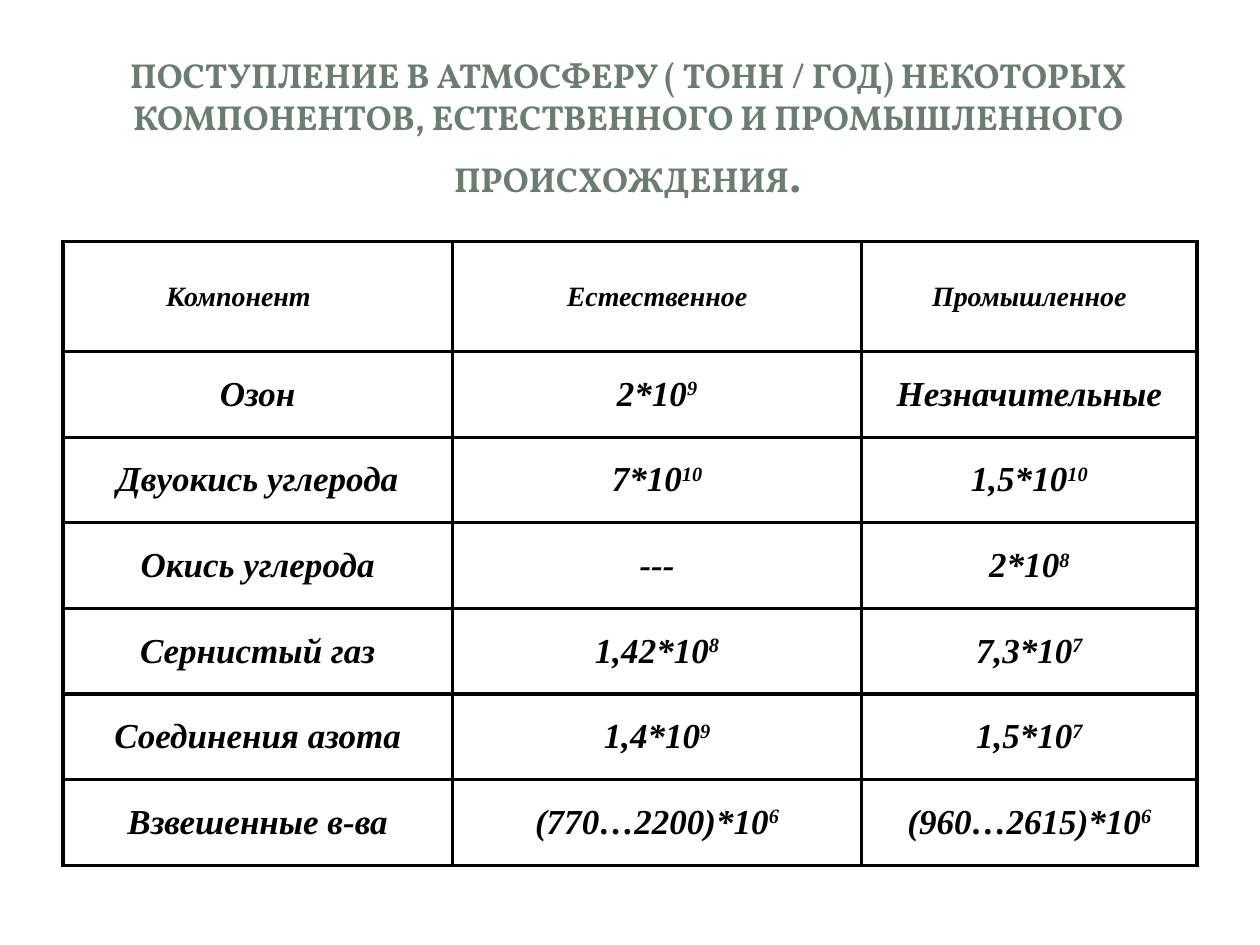
import lxml.etree
import pptx
import pptx.dml.color
import pptx.enum.shapes
import pptx.enum.text
import pptx.oxml.ns
import pptx.util

Cm, Pt = pptx.util.Cm, pptx.util.Pt
qn = pptx.oxml.ns.qn
MIDDLE = pptx.enum.text.MSO_ANCHOR.MIDDLE
ALIGN = pptx.enum.text.PP_ALIGN
SHAPE = pptx.enum.shapes.MSO_SHAPE

INK, SAGE, WHITE = "000000", "6B7D72", "FFFFFF"
TITLE = {"name": "Vollkorn", "size": Pt(19.8), "bold": True}
TITLE_DOT = {**TITLE, "size": Pt(31.5), "bold": False}
BODY = {"name": "Times New Roman", "size": Pt(20), "bold": True, "italic": True}
HEADER = {**BODY, "size": Pt(16)}

COLUMN_WIDTHS = [7.85, 8.25, 6.76]
TABLE_HEIGHT, HEADER_HEIGHT = 12.57, 2.22
# A caret separates a number from its exponent
ROWS = [
    ["Компонент", "Естественное", "Промышленное"],
    ["Озон", "2*10^9", "Незначительные"],
    ["Двуокись углерода", "7*10^10", "1,5*10^10"],
    ["Окись углерода", "---", "2*10^8"],
    ["Сернистый газ", "1,42*10^8", "7,3*10^7"],
    ["Соединения азота", "1,4*10^9", "1,5*10^7"],
    ["Взвешенные в-ва", "(770…2200)*10^6", "(960…2615)*10^6"],
]


def color(value):
    return pptx.dml.color.RGBColor.from_string(value)


def set_format(target, values):
    for name, value in values.items():
        setattr(target, name, value)


def add_panel(page, kind, left, top, width, height):
    panel = page.shapes.add_shape(kind, Cm(left), Cm(top), Cm(width), Cm(height))
    panel.shadow.inherit = False
    panel.fill.solid()
    panel.fill.fore_color.rgb = color(WHITE)
    panel.line.fill.background()
    return panel


def add_panels(page):
    sheet = add_panel(page, SHAPE.ROUNDED_RECTANGLE, 0.25, 0.28, 24.9, 18.52)
    sheet.adjustments[0] = 0.017
    band = add_panel(page, SHAPE.RECTANGLE, 0.76, 0.76, 23.88, 3.68)
    tint = band.fill._xPr.find(qn("a:solidFill"))[0]
    lxml.etree.SubElement(tint, qn("a:alpha"), val="83000")
    add_panel(page, SHAPE.RECTANGLE, 1.04, 1.04, 23.29, 3.1)


def add_span(para, text, style, ink):
    span = para.add_run()
    span.text = text
    set_format(span.font, style)
    span.font.color.rgb = color(ink)
    return span


def add_title(page):
    box = page.shapes.add_textbox(Cm(1.19), Cm(1.14), Cm(22.94), Cm(2.9))
    set_format(box.text_frame, {"word_wrap": True, "vertical_anchor": MIDDLE})
    para = box.text_frame.paragraphs[0]
    para.alignment = ALIGN.CENTER
    add_span(para, "ПОСТУПЛЕНИЕ В АТМОСФЕРУ ( ТОНН / ГОД) НЕКОТОРЫХ "
                   "КОМПОНЕНТОВ, ЕСТЕСТВЕННОГО И ПРОМЫШЛЕННОГО", TITLE, SAGE)
    para.add_line_break()
    add_span(para, "ПРОИСХОЖДЕНИЯ", TITLE, SAGE)
    add_span(para, ".", TITLE_DOT, SAGE)


def add_borders(cell):
    properties = cell._tc.get_or_add_tcPr()
    for side in ("a:lnL", "a:lnR", "a:lnT", "a:lnB"):
        line = lxml.etree.SubElement(properties, qn(side), w=str(Pt(2)))
        fill = lxml.etree.SubElement(line, qn("a:solidFill"))
        lxml.etree.SubElement(fill, qn("a:srgbClr"), val=INK)


def fill_cell(cell, text, style):
    add_borders(cell)
    cell.fill.background()
    cell.vertical_anchor = MIDDLE
    para = cell.text_frame.paragraphs[0]
    para.alignment = ALIGN.CENTER
    base, _, exponent = text.partition("^")
    add_span(para, base, style, INK)
    if exponent:
        span = add_span(para, exponent, style, INK)
        span._r.get_or_add_rPr().set("baseline", "30000")


def add_data_table(page):
    row_height = (TABLE_HEIGHT - HEADER_HEIGHT) / (len(ROWS) - 1)
    table = page.shapes.add_table(
        len(ROWS), len(COLUMN_WIDTHS), Cm(1.27), Cm(4.87),
        Cm(sum(COLUMN_WIDTHS)), Cm(TABLE_HEIGHT)).table
    set_format(table, {"first_row": False, "horz_banding": False})
    for column, width in zip(table.columns, COLUMN_WIDTHS):
        column.width = Cm(width)
    for i, texts in enumerate(ROWS):
        table.rows[i].height = Cm(row_height if i else HEADER_HEIGHT)
        for j, text in enumerate(texts):
            fill_cell(table.cell(i, j), text, BODY if i else HEADER)

    # The first heading is indented from the left instead of centred
    corner = table.cell(0, 0)
    corner.margin_left = Cm(2.08)
    corner.text_frame.paragraphs[0].alignment = ALIGN.LEFT


def main():
    deck = pptx.Presentation()
    set_format(deck, {"slide_width": Cm(25.4), "slide_height": Cm(19.05)})
    page = deck.slides.add_slide(deck.slide_layouts[6])
    add_panels(page)
    add_title(page)
    add_data_table(page)
    deck.save("out.pptx")


if __name__ == "__main__":
    main()
